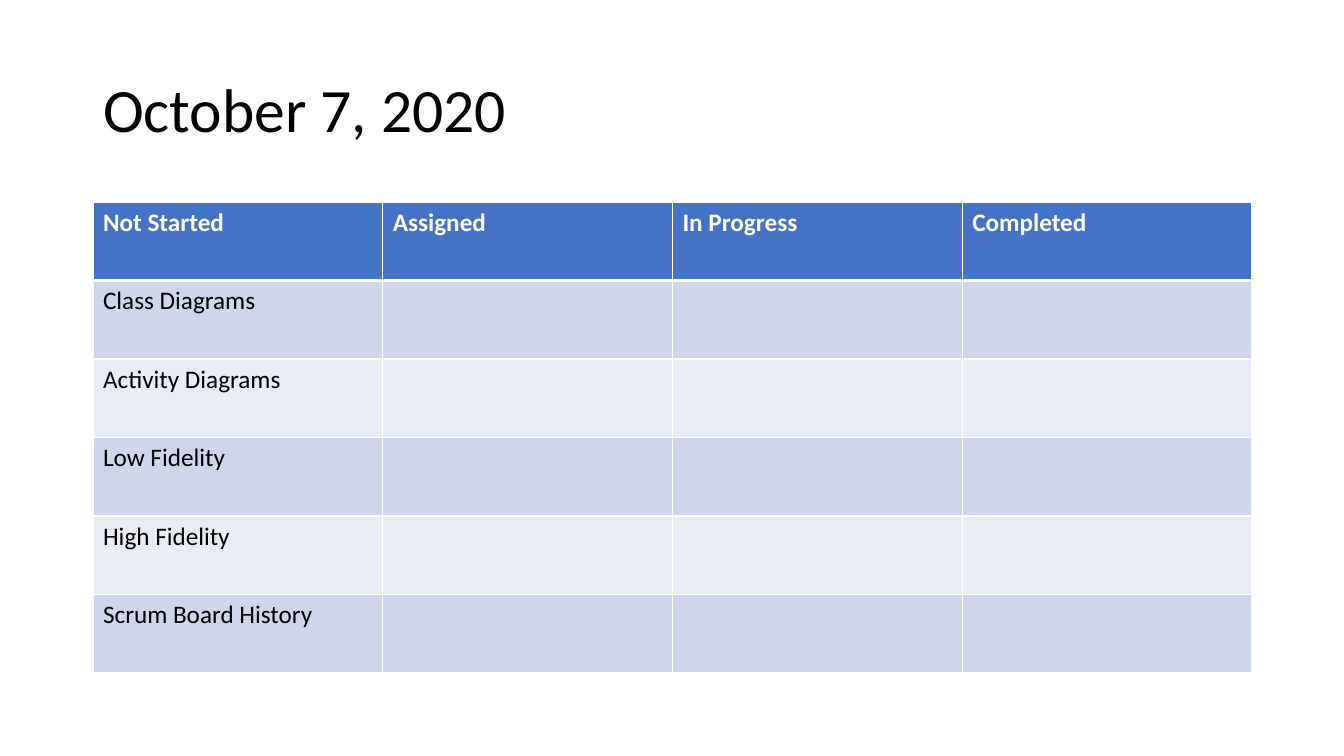
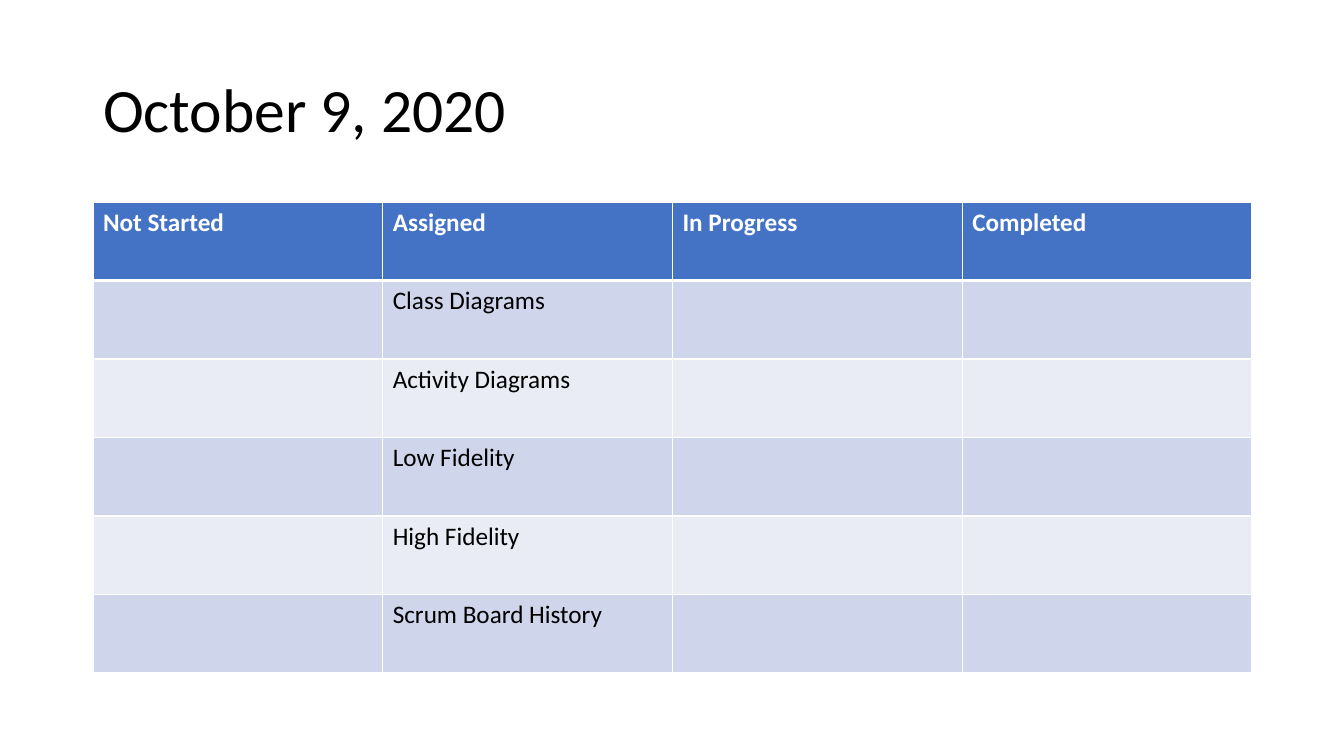
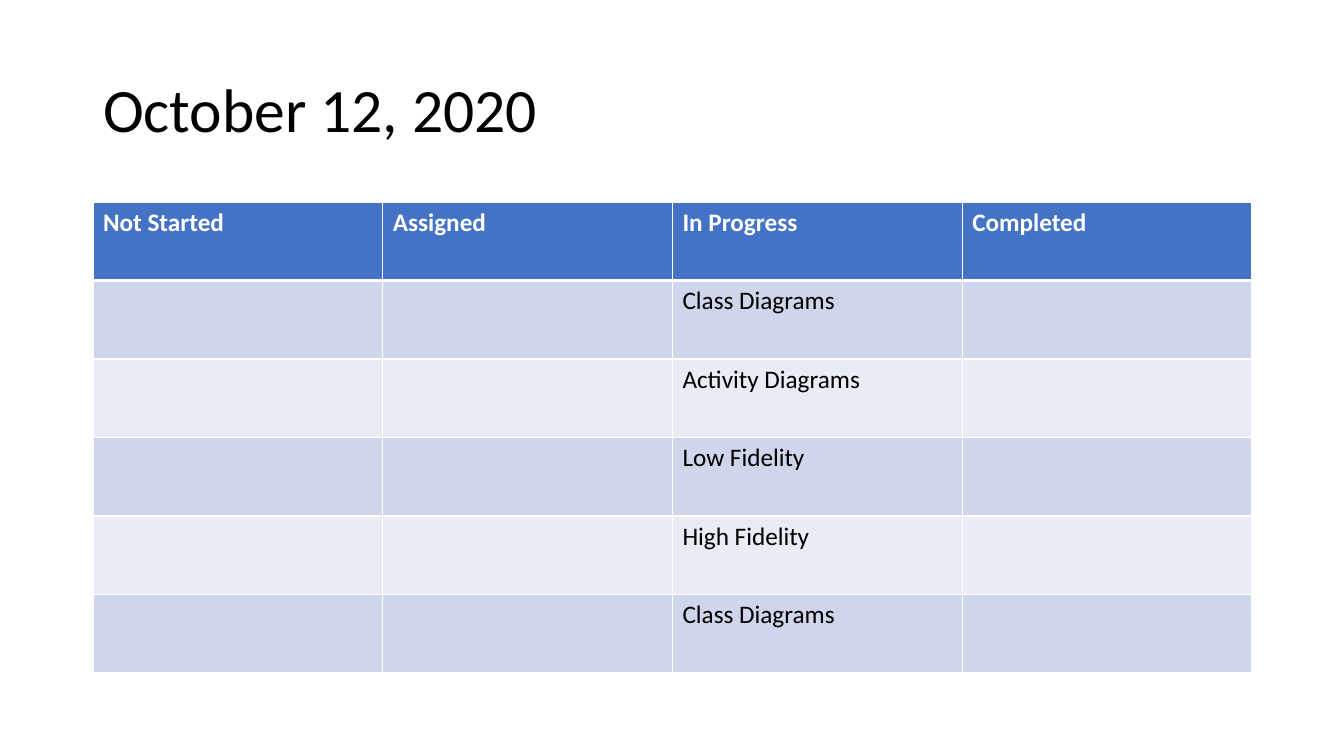
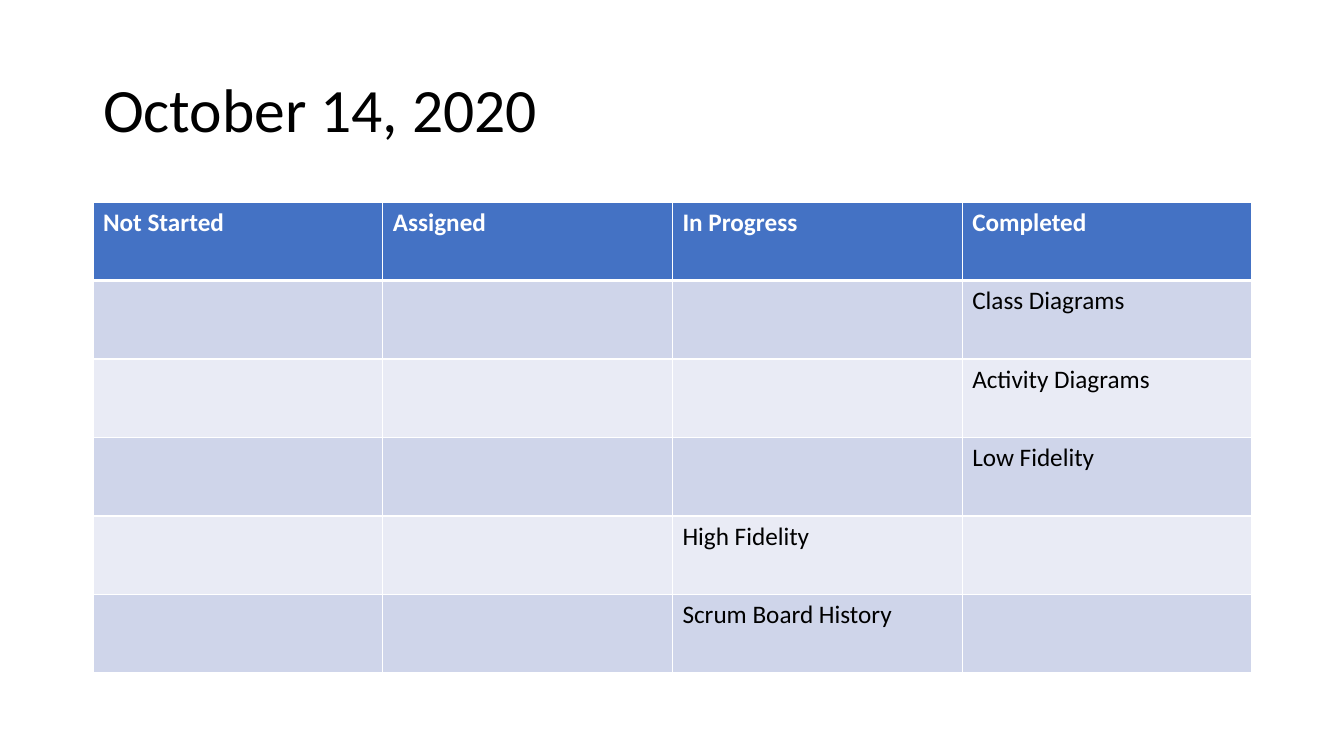
from dataclasses import dataclass

from lxml.etree import SubElement
from pptx import Presentation
from pptx.dml.color import RGBColor
from pptx.enum.text import MSO_ANCHOR as Anchor, MSO_AUTO_SIZE as AutoSize, PP_ALIGN as Align
from pptx.oxml.ns import qn
from pptx.util import Emu, Pt

EMU_PER_PIXEL = 914400 / 100.8
SLIDE_WIDTH, SLIDE_HEIGHT = 1344, 756
MARGIN, CONTENT_WIDTH = 93, 1159
TITLE_TOP, TITLE_HEIGHT = 40, 146
BOARD_TOP, BOARD_HEIGHT = 202, 471
TITLE_ONLY = 5

FONT = "Calibri"
TITLE_SIZE, CELL_SIZE = 44, 18
BLACK, WHITE = "000000", "FFFFFF"
HEADER_FILL = "4472C4"
BAND_FILLS = ("E9EBF5", "CFD5EA")
THIN_RULE, HEADER_RULE = 1, 3

STATUSES = ("Not Started", "Assigned", "In Progress", "Completed")
NOT_STARTED, ASSIGNED, IN_PROGRESS, COMPLETED = range(len(STATUSES))
TASKS = ("Class Diagrams", "Activity Diagrams", "Low Fidelity", "High Fidelity",
         "Scrum Board History")


@dataclass(frozen=True)
class ScrumBoard:
    """The tasks on one day, each with the index of its status."""
    date: str
    statuses: tuple[int, ...]
    tasks: tuple[str, ...] = TASKS


BOARDS = (
    ScrumBoard("October 7, 2020", (NOT_STARTED,) * 5),
    ScrumBoard("October 9, 2020", (ASSIGNED,) * 5),
    ScrumBoard("October 12, 2020", (IN_PROGRESS,) * 5, TASKS[:4] + TASKS[:1]),
    ScrumBoard("October 14, 2020", (COMPLETED,) * 3 + (IN_PROGRESS,) * 2),
)


def px(pixels: int) -> Emu:
    """Convert pixels to EMU."""
    return Emu(round(pixels * EMU_PER_PIXEL))


def rgb(value: str) -> RGBColor:
    """Convert a hex string to a colour."""
    return RGBColor.from_string(value)


def style_paragraph(paragraph, size: int, color: str, bold: bool = False) -> None:
    """Set the font of a whole paragraph."""
    font = paragraph.font
    font.name, font.size, font.bold = FONT, Pt(size), bold
    font.color.rgb = rgb(color)


def add_border(cell, side: str, width: int) -> None:
    """Rule one side of a cell in white."""
    line = SubElement(cell._tc.get_or_add_tcPr(), qn(f"a:ln{side}"), w=str(Pt(width)))
    SubElement(SubElement(line, qn("a:solidFill")), qn("a:srgbClr"), val=WHITE)


def format_cell(cell, row: int) -> None:
    """Give a cell the borders, fill and font of its row."""
    is_header = row == 0
    widths = {
        "L": THIN_RULE,
        "R": THIN_RULE,
        "T": HEADER_RULE if row == 1 else THIN_RULE,
        "B": HEADER_RULE if is_header else THIN_RULE,
    }
    for side, width in widths.items():
        add_border(cell, side, width)
    cell.fill.solid()
    cell.fill.fore_color.rgb = rgb(HEADER_FILL if is_header else BAND_FILLS[row % 2])
    style_paragraph(cell.text_frame.paragraphs[0], CELL_SIZE,
                    WHITE if is_header else BLACK, is_header)


def add_title(slide, date: str) -> None:
    """Place the date in the title placeholder."""
    title = slide.shapes.title
    title.left, title.top = px(MARGIN), px(TITLE_TOP)
    title.width, title.height = px(CONTENT_WIDTH), px(TITLE_HEIGHT)
    frame = title.text_frame
    frame.text = date
    frame.vertical_anchor = Anchor.MIDDLE
    frame.auto_size = AutoSize.NONE
    heading = frame.paragraphs[0]
    heading.alignment = Align.LEFT
    heading.line_spacing = 0.9
    style_paragraph(heading, TITLE_SIZE, BLACK)


def add_board(slide, board: ScrumBoard) -> None:
    """Draw the status columns with each task in its own row."""
    grid = slide.shapes.add_table(
        len(board.tasks) + 1, len(STATUSES),
        px(MARGIN), px(BOARD_TOP), px(CONTENT_WIDTH), px(BOARD_HEIGHT)).table
    for column, status in enumerate(STATUSES):
        grid.cell(0, column).text = status
    for row, (task, column) in enumerate(zip(board.tasks, board.statuses), start=1):
        grid.cell(row, column).text = task
    for row, cells in enumerate(grid.rows):
        for cell in cells.cells:
            format_cell(cell, row)


def build() -> None:
    """Build one slide for each board and save the deck."""
    deck = Presentation()
    deck.slide_width, deck.slide_height = px(SLIDE_WIDTH), px(SLIDE_HEIGHT)
    for board in BOARDS:
        slide = deck.slides.add_slide(deck.slide_layouts[TITLE_ONLY])
        add_title(slide, board.date)
        add_board(slide, board)
    deck.save("out.pptx")


build()
